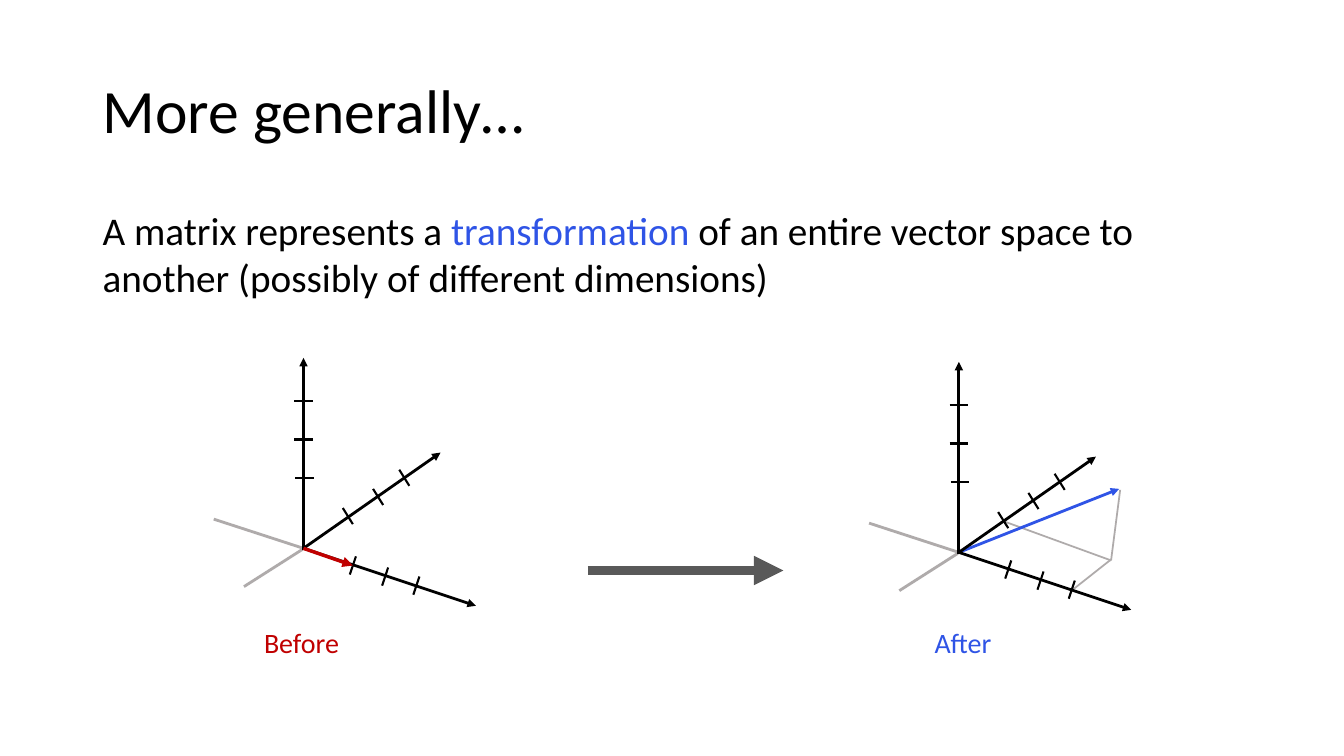
"""Builds a slide showing a matrix as a transformation between vector spaces."""
import pptx
import pptx.util
import pptx.dml.color
import pptx.enum.shapes
import pptx.enum.text
import lxml.etree
from pptx.oxml.ns import qn

Inches = pptx.util.Inches
RGBColor = pptx.dml.color.RGBColor

BLACK = RGBColor(0x00, 0x00, 0x00)
BLUE = RGBColor(0x2F, 0x54, 0xE6)
RED = RGBColor(0xC0, 0x00, 0x00)
GRAY = RGBColor(0xAF, 0xAB, 0xAB)
DARK_GRAY = RGBColor(0x59, 0x59, 0x59)
FONT = "Calibri"

TITLE = [("More generally…", BLACK)]
STATEMENT = [
    ("A matrix represents a ", BLACK),
    ("transformation", BLUE),
    (" of an entire vector space to another (possibly of different dimensions)", BLACK),
]
CAPTIONS = [
    ((2.52, 6.16, 0.95, 0.44), [("Before", RED)]),
    ((9.17, 6.16, 1.02, 0.44), [("After", BLUE)]),
]

BEFORE_ORIGIN = (3.01, 5.44)
AFTER_ORIGIN = (9.51, 5.48)
POSITIVE_AXES = [
    ((0, 0), (1.71, 0.57)),
    ((0, 0), (1.36, -0.95)),
    ((0, 0.02), (0, -1.89)),
]
NEGATIVE_AXES = [((-0.89, -0.29), (0, 0)), ((-0.59, 0.38), (-0.01, 0.01))]
TICKS = [
    ((0.09, 0), [(0, -1.46), (0, -1.08), (0.01, -0.7)]),
    ((0.05, 0.08), [(1, -0.7), (0.74, -0.51), (0.44, -0.32)]),
    ((-0.03, 0.09), [(1.12, 0.37), (0.81, 0.28), (0.49, 0.17)]),
]
PROJECTION = [
    ((11.02, 5.56), (9.95, 5.17)),
    ((11.02, 5.56), (11.11, 4.86)),
    ((10.64, 5.85), (11.02, 5.55)),
]


def shift(point, offset):
    return point[0] + offset[0], point[1] + offset[1]


def draw_line(page, start, end, color, width, arrow=False):
    line = page.shapes.add_connector(
        pptx.enum.shapes.MSO_CONNECTOR.STRAIGHT,
        *(Inches(value) for value in (*start, *end)))
    line.line.color.rgb = color
    line.line.width = pptx.util.Pt(width)
    properties = line._element.spPr
    if arrow:
        outline = properties.find(qn("a:ln"))
        lxml.etree.SubElement(outline, qn("a:tailEnd"), type="triangle")
    lxml.etree.SubElement(properties, qn("a:effectLst"))


def draw_axes(page, origin):
    for start, end in NEGATIVE_AXES:
        draw_line(page, shift(origin, start), shift(origin, end), GRAY, 2)
    for start, end in POSITIVE_AXES:
        draw_line(page, shift(origin, start), shift(origin, end), BLACK, 2, True)
    for (half_x, half_y), centers in TICKS:
        for center in centers:
            middle = shift(origin, center)
            draw_line(page, shift(middle, (-half_x, -half_y)),
                      shift(middle, (half_x, half_y)), BLACK, 1.5)


def write_text(box, place, spans, size, anchor=pptx.enum.text.MSO_ANCHOR.TOP):
    box.left, box.top, box.width, box.height = (Inches(value) for value in place)
    frame = box.text_frame
    frame.word_wrap = True
    frame.auto_size = pptx.enum.text.MSO_AUTO_SIZE.NONE
    frame.vertical_anchor = anchor
    para = frame.paragraphs[0]
    para.alignment = pptx.enum.text.PP_ALIGN.LEFT
    for text, color in spans:
        span = para.add_run()
        span.text = text
        span.font.name = FONT
        span.font.size = pptx.util.Pt(size)
        span.font.color.rgb = color
    return para


def main():
    deck = pptx.Presentation()
    deck.slide_width, deck.slide_height = Inches(13.33), Inches(7.5)
    page = deck.slides.add_slide(deck.slide_layouts[5])

    heading = write_text(page.shapes.title, (0.92, 0.4, 11.5, 1.45), TITLE, 44,
                         pptx.enum.text.MSO_ANCHOR.MIDDLE)
    heading.line_spacing = 0.9
    texts = [((0.92, 2, 11.5, 1.11), STATEMENT, 28)]
    texts += [(place, spans, 20) for place, spans in CAPTIONS]
    for place, spans, size in texts:
        write_text(page.shapes.add_textbox(0, 0, 0, 0), place, spans, size)

    for start, end in PROJECTION:
        draw_line(page, start, end, GRAY, 1.25)
    draw_line(page, AFTER_ORIGIN, (11.1, 4.85), BLUE, 2, True)
    for origin in (AFTER_ORIGIN, BEFORE_ORIGIN):
        draw_axes(page, origin)
    draw_line(page, BEFORE_ORIGIN, (3.5, 5.61), RED, 2.5, True)
    draw_line(page, (5.83, 5.66), (7.77, 5.66), DARK_GRAY, 7, True)

    deck.save("out.pptx")


if __name__ == "__main__":
    main()
